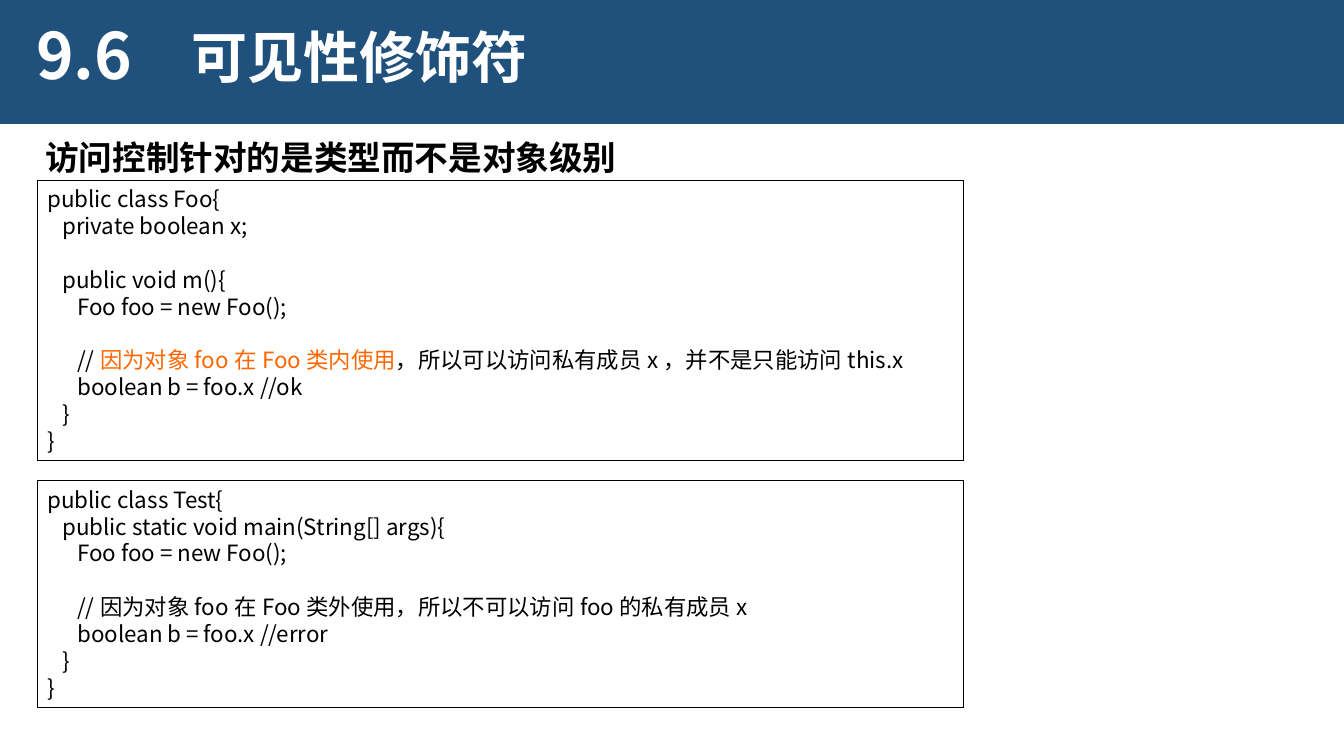
"""Build the slide on visibility modifiers and type-level access control."""
from dataclasses import dataclass

from lxml.etree import SubElement
from pptx import Presentation
from pptx.dml.color import RGBColor
from pptx.enum.shapes import MSO_SHAPE
from pptx.enum.text import MSO_ANCHOR, PP_ALIGN
from pptx.oxml.ns import qn
from pptx.shapes.autoshape import Shape
from pptx.slide import Slide
from pptx.util import Inches, Pt

CJK_FONT = "Noto Sans CJK SC"
CODE_SIZE = 16
CODE_LINE = 19.2
HIGHLIGHT = "因为对象foo在Foo类内使用"

FOO_CODE = """public class Foo{
   private boolean x;

   public void m(){
      Foo foo = new Foo();

      //因为对象foo在Foo类内使用，所以可以访问私有成员x，并不是只能访问this.x
      boolean b = foo.x //ok
   }
}"""

TEST_CODE = """public class Test{
   public static void main(String[] args){
      Foo foo = new Foo();

      //因为对象foo在Foo类外使用，所以不可以访问foo的私有成员x
      boolean b = foo.x //error
   }
}"""


@dataclass(frozen=True)
class Label:
    text: str
    left: float
    top: float
    width: float
    height: float
    size: float
    color: str
    font: str = CJK_FONT
    line_spacing: float = 1.0
    wrap: bool = True


@dataclass(frozen=True)
class CodePanel:
    code: str
    top: float
    height: float


LABELS = [
    Label("9.6", 0.26, 0.19, 1.37, 0.91, 45.6, "FFFFFF", line_spacing=0.9),
    Label("可见性修饰符", 1.8, 0.25, 11.23, 0.54, 40, "FFFFFF", line_spacing=0.9),
    Label("访问控制针对的是类型而不是对象级别", 0.35, 1.31, 5.95, 0.5, 24, "000000",
          font="Calibri", wrap=False),
]
PANELS = [CodePanel(FOO_CODE, 1.79, 2.78), CodePanel(TEST_CODE, 4.77, 2.25)]


def rgb(value: str) -> RGBColor:
    """Turn a hex string into a colour."""
    return RGBColor.from_string(value)


def add_span(para, text: str, *, size: float, color: str = "000000",
             font: str = CJK_FONT, bold: bool = False) -> None:
    """Append formatted text to a paragraph."""
    span = para.add_run()
    span.text = text
    span.font.size = Pt(size)
    span.font.bold = bold
    span.font.color.rgb = rgb(color)
    span.font.name = font
    east_asian = SubElement(span.font._element, qn("a:ea"))
    east_asian.set("typeface", CJK_FONT)


def add_rectangle(page: Slide, left: float, top: float, width: float, height: float) -> Shape:
    """Add a rectangle without shadow."""
    box = page.shapes.add_shape(MSO_SHAPE.RECTANGLE, Inches(left), Inches(top),
                                Inches(width), Inches(height))
    box.shadow.inherit = False
    return box


def add_banner(page: Slide) -> None:
    """Draw the blue title band."""
    band = add_rectangle(page, -0.03, 0, 13.36, 1.23)
    band.fill.solid()
    band.fill.fore_color.rgb = rgb("20517C")
    band.line.fill.background()


def add_label(page: Slide, label: Label) -> None:
    """Draw one bold line of text."""
    box = page.shapes.add_textbox(Inches(label.left), Inches(label.top),
                                  Inches(label.width), Inches(label.height))
    box.text_frame.word_wrap = label.wrap
    para = box.text_frame.paragraphs[0]
    para.line_spacing = label.line_spacing
    add_span(para, label.text, size=label.size, color=label.color, font=label.font, bold=True)


def add_code_panel(page: Slide, panel: CodePanel) -> None:
    """Draw an outlined code listing, with blank lines as paragraph spacing."""
    box = add_rectangle(page, 0.37, panel.top, 9.19, panel.height)
    box.fill.background()
    box.line.color.rgb = rgb("000000")
    box.line.width = Pt(0.75)
    frame = box.text_frame
    frame.word_wrap = True
    frame.vertical_anchor = MSO_ANCHOR.TOP
    for index, block in enumerate(panel.code.split("\n\n")):
        for row, line in enumerate(block.split("\n")):
            first = index == 0 and row == 0
            para = frame.paragraphs[0] if first else frame.add_paragraph()
            para.alignment = PP_ALIGN.LEFT
            if index and row == 0:
                para.space_before = Pt(CODE_LINE)
            before, marked, after = line.partition(HIGHLIGHT)
            for text, color in ((before, "000000"), (marked, "FF6600"), (after, "000000")):
                if text:
                    add_span(para, text, size=CODE_SIZE, color=color)


def main() -> None:
    """Build and save the deck."""
    deck = Presentation()
    deck.slide_width, deck.slide_height = Inches(13.33), Inches(7.5)
    page = deck.slides.add_slide(deck.slide_layouts[6])
    add_banner(page)
    for panel in PANELS:
        add_code_panel(page, panel)
    for label in LABELS:
        add_label(page, label)
    deck.save("out.pptx")


if __name__ == "__main__":
    main()
